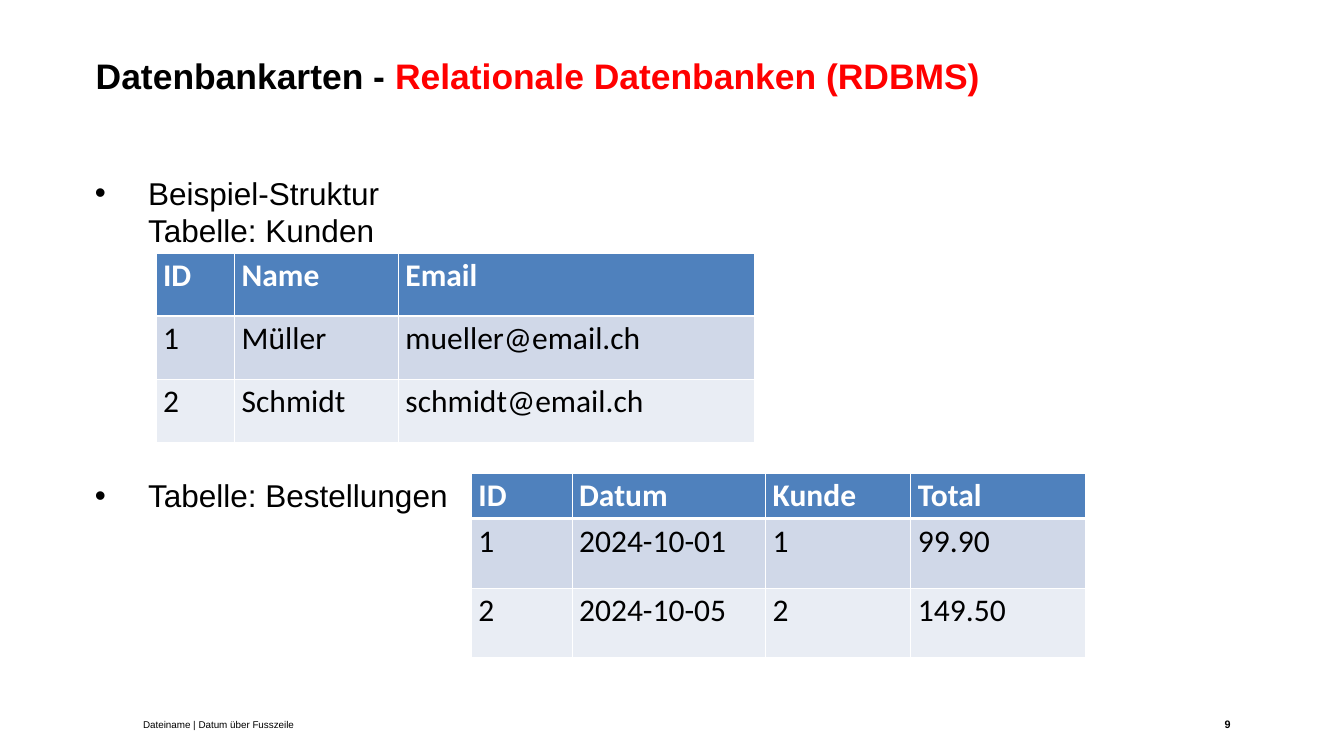
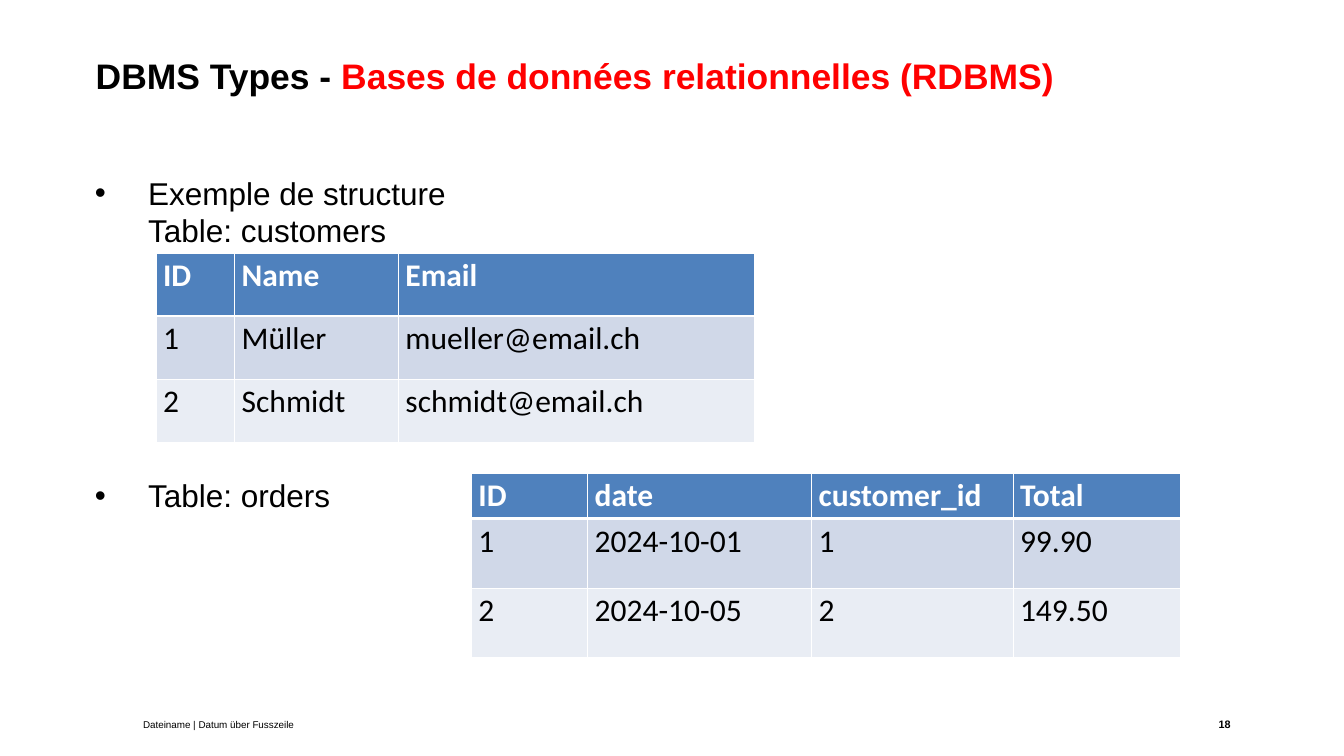
import dataclasses

import pptx
import pptx.dml.color
import pptx.enum.text
import pptx.oxml
import pptx.oxml.ns
import pptx.util

PX = 9144  # EMU per px, 100 px to the inch
ALIGN = pptx.enum.text.PP_ALIGN
ANCHOR = pptx.enum.text.MSO_ANCHOR


@dataclasses.dataclass(frozen=True)
class Theme:
    text: str = "000000"
    accent: str = "FF0000"
    white: str = "FFFFFF"
    header: str = "4F81BD"
    bands: tuple = ("D0D8E8", "E9EDF4")
    font: str = "Arial"
    table_font: str = "Calibri"
    title_size: int = 36
    body_size: int = 32
    number_size: int = 11
    footer_size: int = 10
    spacing: float = 1.0
    list_gap: int = 231
    indent: int = 75
    thin: int = 1
    thick: int = 3


THEME = Theme()
SLIDE_SIZE = (1896, 1067)
TITLE_BOX = (135, 77, 1611, 61)
BODY_BOX = (134, 245, 1608, 485)
NUMBER_BOX = (1578, 1008, 168, 29)
FOOTER_BOX = (192, 1009, 450, 32)
CUSTOMERS_AT = (220, 357)
ORDERS_AT = (665, 668)
CUSTOMER_COLS = (111, 231, 503)
CUSTOMER_ROWS = (89, 89, 89)
ORDER_ROWS = (64, 98, 98)

CUSTOMERS = [
    ("ID", "Name", "Email"),
    ("1", "Müller", "mueller@email.ch"),
    ("2", "Schmidt", "schmidt@email.ch"),
]
ORDERS = [("1", "2024-10-01", "1", "99.90"), ("2", "2024-10-05", "2", "149.50")]

SLIDES = [
    dict(
        number="9",
        title=("Datenbankarten - ", "Relationale Datenbanken (RDBMS)"),
        bullets=[("Beispiel-Struktur", "Tabelle: Kunden"), ("Tabelle: Bestellungen",)],
        order_head=("ID", "Datum", "Kunde", "Total"),
        order_cols=(142, 273, 205, 246),
    ),
    dict(
        number="18",
        title=("DBMS Types - ", "Bases de données relationnelles (RDBMS)"),
        bullets=[("Exemple de structure", "Table: customers"), ("Table: orders",)],
        order_head=("ID", "date", "customer_id", "Total"),
        order_cols=(164, 316, 284, 236),
    ),
]


def px(*values):
    return [pptx.util.Emu(v * PX) for v in values]


def rgb(color):
    return pptx.dml.color.RGBColor.from_string(color)


def add_run(p, text, size, color=THEME.text, font=THEME.font, bold=False):
    r = p.add_run()
    r.text = text
    r.font.size = pptx.util.Pt(size)
    r.font.name = font
    r.font.bold = bold
    r.font.color.rgb = rgb(color)


def place_placeholder(sp, box):
    """Move a placeholder and give it a plain frame without insets."""
    sp.left, sp.top, sp.width, sp.height = px(*box)
    tf = sp.text_frame
    tf.margin_left = tf.margin_top = tf.margin_right = tf.margin_bottom = 0
    tf.word_wrap = True
    tf.auto_size = pptx.enum.text.MSO_AUTO_SIZE.NONE
    tf.vertical_anchor = ANCHOR.TOP
    return tf


def format_paragraph(p, space_before=0):
    p.alignment = ALIGN.LEFT
    p.line_spacing = THEME.spacing
    p.space_before = pptx.util.Pt(space_before)
    p.space_after = pptx.util.Pt(0)


def set_title(slide, lead, topic):
    p = place_placeholder(slide.shapes.title, TITLE_BOX).paragraphs[0]
    format_paragraph(p)
    add_run(p, lead, THEME.title_size, bold=True)
    add_run(p, topic, THEME.title_size, THEME.accent, bold=True)


def add_bullet(p):
    pPr = p._p.get_or_add_pPr()
    indent = THEME.indent * PX
    pPr.set("marL", str(indent))
    pPr.set("indent", str(-indent))
    ns = pptx.oxml.ns.nsdecls("a")
    for tag in (f'<a:buFont {ns} typeface="{THEME.font}"/>', f'<a:buChar {ns} char="•"/>'):
        pPr.append(pptx.oxml.parse_xml(tag))


def set_bullets(slide, bullets):
    tf = place_placeholder(slide.placeholders[1], BODY_BOX)
    for i, lines in enumerate(bullets):
        p = tf.add_paragraph() if i else tf.paragraphs[0]
        add_bullet(p)
        format_paragraph(p, THEME.list_gap if i else 0)
        for j, line in enumerate(lines):
            if j:
                p.add_line_break()
            add_run(p, line, THEME.body_size)


def add_label(slide, box, text, size, align=ALIGN.LEFT, bold=False):
    tf = slide.shapes.add_textbox(*px(*box)).text_frame
    tf.word_wrap = True
    p = tf.paragraphs[0]
    format_paragraph(p)
    p.alignment = align
    add_run(p, text, size, bold=bold)


def add_footer(slide, number):
    add_label(slide, NUMBER_BOX, number, THEME.number_size, ALIGN.RIGHT, bold=True)
    add_label(slide, FOOTER_BOX, "Dateiname | Datum über Fusszeile", THEME.footer_size)


def set_borders(cell, bottom):
    tcPr = cell._tc.get_or_add_tcPr()
    sides = (("L", THEME.thin), ("R", THEME.thin), ("T", THEME.thin), ("B", bottom))
    for side, width in sides:
        tcPr.append(pptx.oxml.parse_xml(
            f'<a:ln{side} {pptx.oxml.ns.nsdecls("a")} w="{pptx.util.Pt(width)}">'
            f'<a:solidFill><a:srgbClr val="{THEME.white}"/></a:solidFill></a:ln{side}>'))


def add_data_table(slide, at, cols, heights, rows):
    frame = slide.shapes.add_table(len(rows), len(cols), *px(*at, sum(cols), sum(heights)))
    table = frame.table
    table.horz_banding = False
    for column, width in zip(table.columns, px(*cols)):
        column.width = width
    for row, height in zip(table.rows, px(*heights)):
        row.height = height
    for i, values in enumerate(rows):
        head = i == 0
        fill = THEME.header if head else THEME.bands[(i - 1) % 2]
        for j, value in enumerate(values):
            cell = table.cell(i, j)
            set_borders(cell, THEME.thick if head else THEME.thin)
            cell.fill.solid()
            cell.fill.fore_color.rgb = rgb(fill)
            add_run(cell.text_frame.paragraphs[0], value, THEME.body_size,
                    THEME.white if head else THEME.text, THEME.table_font, head)


def add_database_slide(prs, content):
    slide = prs.slides.add_slide(prs.slide_layouts[1])
    set_bullets(slide, content["bullets"])
    set_title(slide, *content["title"])
    add_footer(slide, content["number"])
    add_data_table(slide, CUSTOMERS_AT, CUSTOMER_COLS, CUSTOMER_ROWS, CUSTOMERS)
    add_data_table(slide, ORDERS_AT, content["order_cols"], ORDER_ROWS,
                   [content["order_head"], *ORDERS])


def main():
    prs = pptx.Presentation()
    prs.slide_width, prs.slide_height = px(*SLIDE_SIZE)
    for content in SLIDES:
        add_database_slide(prs, content)
    prs.save("out.pptx")


if __name__ == "__main__":
    main()
